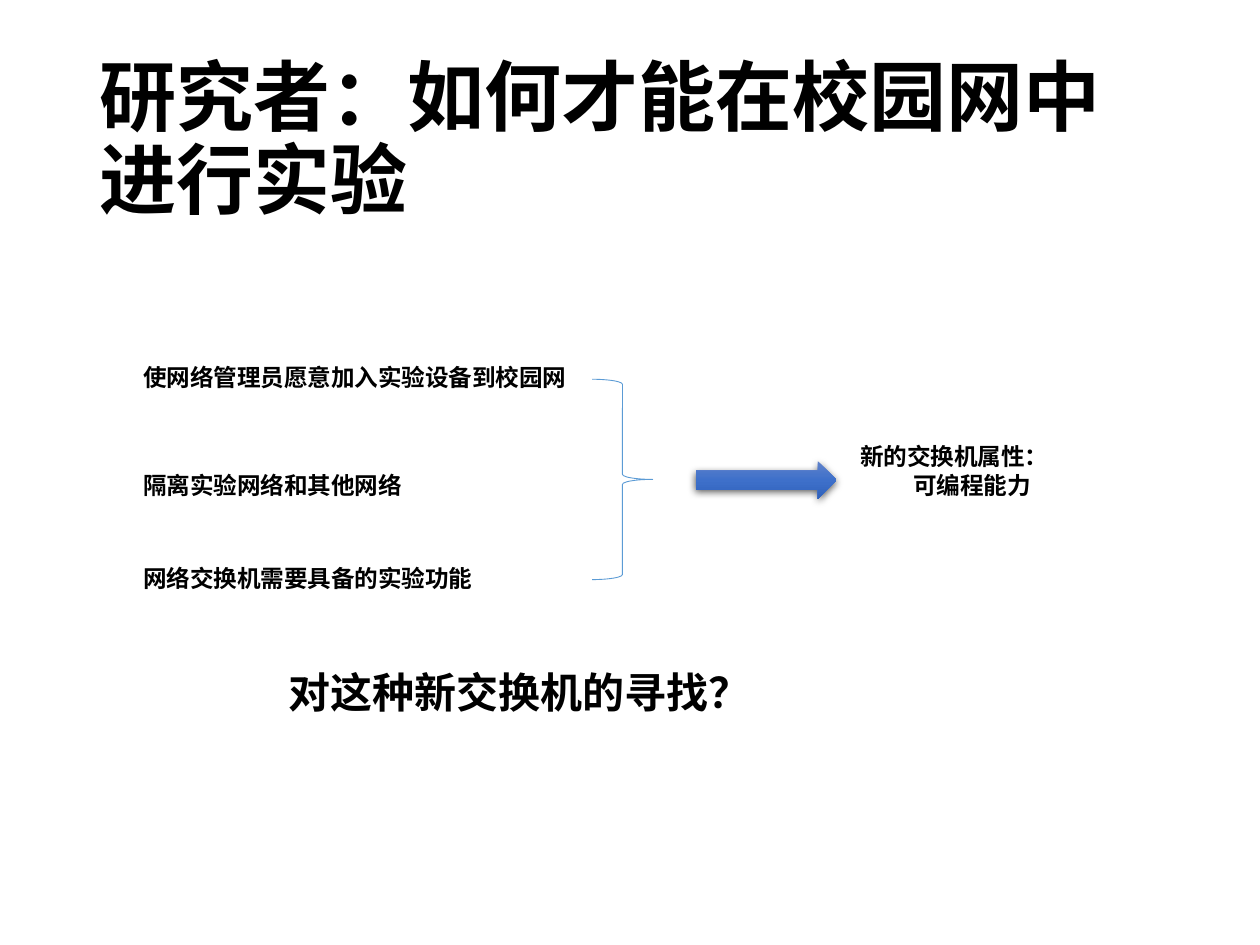
from pptx import Presentation, util as u
from pptx.dml.color import RGBColor
from pptx.enum import shapes, text
from pptx.oxml import parse_xml
from pptx.oxml.ns import nsdecls

COLORS = {"ink": "000000", "paper": "FFFFFF", "brace": "5B9BD5",
          "arrow_top": "6183CB", "arrow_mid": "3E70CA", "arrow_end": "3062BB"}
FONT = {"name": "Times New Roman", "bold": True}
COLS, ROWS = 100, 75

deck = Presentation()
deck.slide_width, deck.slide_height = u.Inches(10), u.Inches(7.5)
slide = deck.slides.add_slide(deck.slide_layouts[6])
slide.background.fill.solid()
slide.background.fill.fore_color.rgb = RGBColor.from_string(COLORS["paper"])


def grid(col, row, cols, rows):
    col_width, row_height = deck.slide_width / COLS, deck.slide_height / ROWS
    return [round(n) for n in (col * col_width, row * row_height,
                               cols * col_width, rows * row_height)]


def add_words(place, lines, size, paragraph_format={}, anchor=text.MSO_ANCHOR.TOP):
    frame = slide.shapes.add_textbox(*grid(*place)).text_frame
    frame.word_wrap = True
    frame.vertical_anchor = anchor
    frame.text = "\n".join(lines)
    for paragraph in frame.paragraphs:
        for key, value in paragraph_format.items():
            setattr(paragraph, key, value)
        font = paragraph.runs[0].font
        for key, value in {**FONT, "size": u.Pt(size)}.items():
            setattr(font, key, value)
        font.color.rgb = RGBColor.from_string(COLORS["ink"])
    return frame


add_words((6.9, 4, 86.2, 14.5), ["研究者：如何才能在校园网中进行实验"], 44,
          {"line_spacing": 0.9}, text.MSO_ANCHOR.MIDDLE)

needs = {28.3: "使网络管理员愿意加入实验设备到校园网",
         36.9: "隔离实验网络和其他网络",
         44.3: "网络交换机需要具备的实验功能"}
for row, need in needs.items():
    add_words((10.4, row, 37.5, 3.3), [need], 13.5)

switch = add_words((67.3, 34.6, 21.2, 5.6), ["新的交换机属性：", "可编程能力"], 13.5)
switch.paragraphs[1]._p.get_or_add_pPr().set("marL", str(u.Inches(0.42)))

brace = slide.shapes.add_shape(shapes.MSO_SHAPE.RIGHT_BRACE, *grid(47, 30.1, 4.8, 15.9))
brace.shadow.inherit = False
brace.fill.background()
brace.line.color.rgb = RGBColor.from_string(COLORS["brace"])
brace.line.width = u.Pt(0.5)

arrow = slide.shapes.add_shape(shapes.MSO_SHAPE.RIGHT_ARROW, *grid(55.2, 36.6, 11.2, 3))
arrow.shadow.inherit = False
arrow.line.fill.background()
stops = "".join(f'<a:gs pos="{share * 1000}"><a:srgbClr val="{COLORS[part]}"/></a:gs>'
                for share, part in ((0, "arrow_top"), (50, "arrow_mid"), (100, "arrow_end")))
arrow_format = arrow._element.spPr
arrow_format.find("{*}prstGeom").addnext(parse_xml(
    f'<a:gradFill {nsdecls("a")} rotWithShape="1"><a:gsLst>{stops}</a:gsLst>'
    '<a:lin ang="5400000" scaled="0"/></a:gradFill>'))
arrow_format.find("{*}effectLst").append(parse_xml(
    f'<a:outerShdw {nsdecls("a")} blurRad="{u.Pt(4.5)}" dist="{u.Pt(1.5)}" dir="5400000" '
    f'algn="ctr" rotWithShape="0"><a:srgbClr val="{COLORS["ink"]}">'
    '<a:alpha val="63000"/></a:srgbClr></a:outerShdw>'))

add_words((21.9, 52.4, 63.2, 5), ["对这种新交换机的寻找？"], 24)

deck.save("out.pptx")
